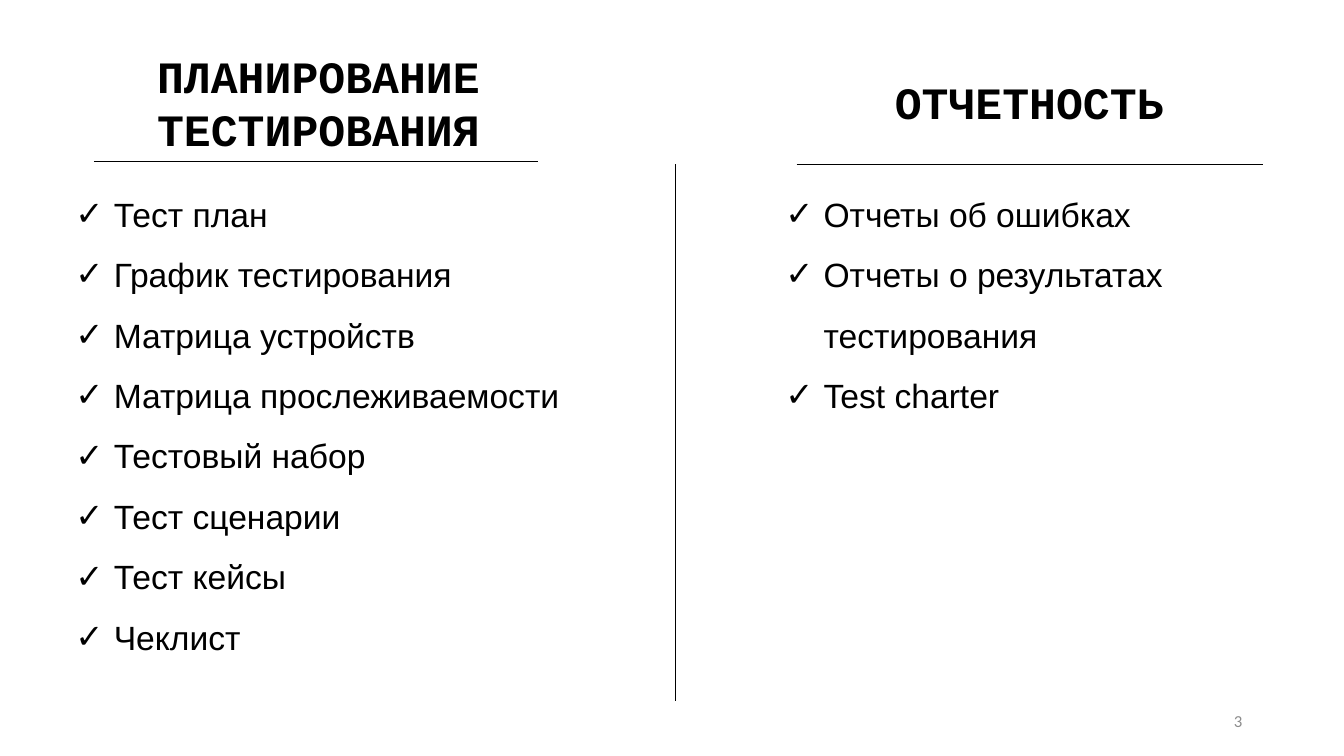
from lxml.etree import SubElement
from pptx import Presentation
from pptx.dml.color import RGBColor
from pptx.enum.shapes import MSO_CONNECTOR
from pptx.enum.text import MSO_ANCHOR, MSO_AUTO_SIZE, PP_ALIGN
from pptx.oxml.ns import qn
from pptx.util import Inches, Pt

BLACK = RGBColor(0x00, 0x00, 0x00)
GRAY = RGBColor(0x8C, 0x8C, 0x8C)

PLANNING = [
    "Тест план",
    "График тестирования",
    "Матрица устройств",
    "Матрица прослеживаемости",
    "Тестовый набор",
    "Тест сценарии",
    "Тест кейсы",
    "Чеклист",
]
REPORTING = [
    "Отчеты об ошибках",
    "Отчеты о результатах тестирования",
    "Test charter",
]


def add_check(p):
    pPr = p._p.get_or_add_pPr()
    pPr.set("marL", str(Inches(0.38)))
    pPr.set("indent", str(-Inches(0.38)))
    SubElement(pPr, qn("a:buFont")).set("typeface", "Arial")
    SubElement(pPr, qn("a:buChar")).set("char", "✓")


def add_text(s, lines, x, y, w, h, font="Arial", size=24, color=BLACK, bold=False,
             align=PP_ALIGN.LEFT, anchor=MSO_ANCHOR.TOP, wrap=True, grow=True,
             spacing=None, check=False):
    tf = s.shapes.add_textbox(Inches(x), Inches(y), Inches(w), Inches(h)).text_frame
    tf.word_wrap = wrap
    tf.vertical_anchor = anchor
    tf.auto_size = MSO_AUTO_SIZE.SHAPE_TO_FIT_TEXT if grow else MSO_AUTO_SIZE.NONE
    for i, line in enumerate(lines):
        p = tf.add_paragraph() if i else tf.paragraphs[0]
        p.alignment = align
        p.line_spacing = spacing
        if check:
            add_check(p)
        r = p.add_run()
        r.text = line
        r.font.name = font
        r.font.size = Pt(size)
        r.font.bold = bold
        r.font.color.rgb = color


def add_heading(s, lines, x, y, w, h):
    add_text(s, lines, x, y, w, h, font="Courier New", size=32, bold=True,
             align=PP_ALIGN.CENTER, wrap=False)


def add_checklist(s, items, x, y, w, h):
    add_text(s, items, x, y, w, h, spacing=1.5, check=True)


def add_line(s, x1, y1, x2, y2):
    line = s.shapes.add_connector(MSO_CONNECTOR.STRAIGHT, Inches(x1), Inches(y1),
                                  Inches(x2), Inches(y2))
    line.line.color.rgb = BLACK
    line.line.width = Pt(0.5)
    SubElement(line._element.spPr, qn("a:effectLst"))


def main():
    prs = Presentation()
    prs.slide_width = Inches(13.33)
    prs.slide_height = Inches(7.5)
    s = prs.slides.add_slide(prs.slide_layouts[6])

    add_heading(s, ["ПЛАНИРОВАНИЕ", "ТЕСТИРОВАНИЯ"], 1.44, 0.43, 3.44, 1.18)
    add_line(s, 0.93, 1.6, 5.34, 1.6)
    add_checklist(s, PLANNING, 0.65, 1.67, 5.01, 4.95)

    add_line(s, 6.7, 1.63, 6.7, 6.95)

    add_heading(s, ["ОТЧЕТНОСТЬ"], 8.76, 0.69, 2.9, 0.64)
    add_line(s, 7.9, 1.63, 12.53, 1.63)
    add_checklist(s, REPORTING, 7.69, 1.67, 5.05, 2.52)

    add_text(s, ["3"], 9.42, 6.95, 3, 0.4, font="Calibri", size=12, color=GRAY,
             align=PP_ALIGN.RIGHT, anchor=MSO_ANCHOR.MIDDLE, grow=False)
    prs.save("out.pptx")


if __name__ == "__main__":
    main()
